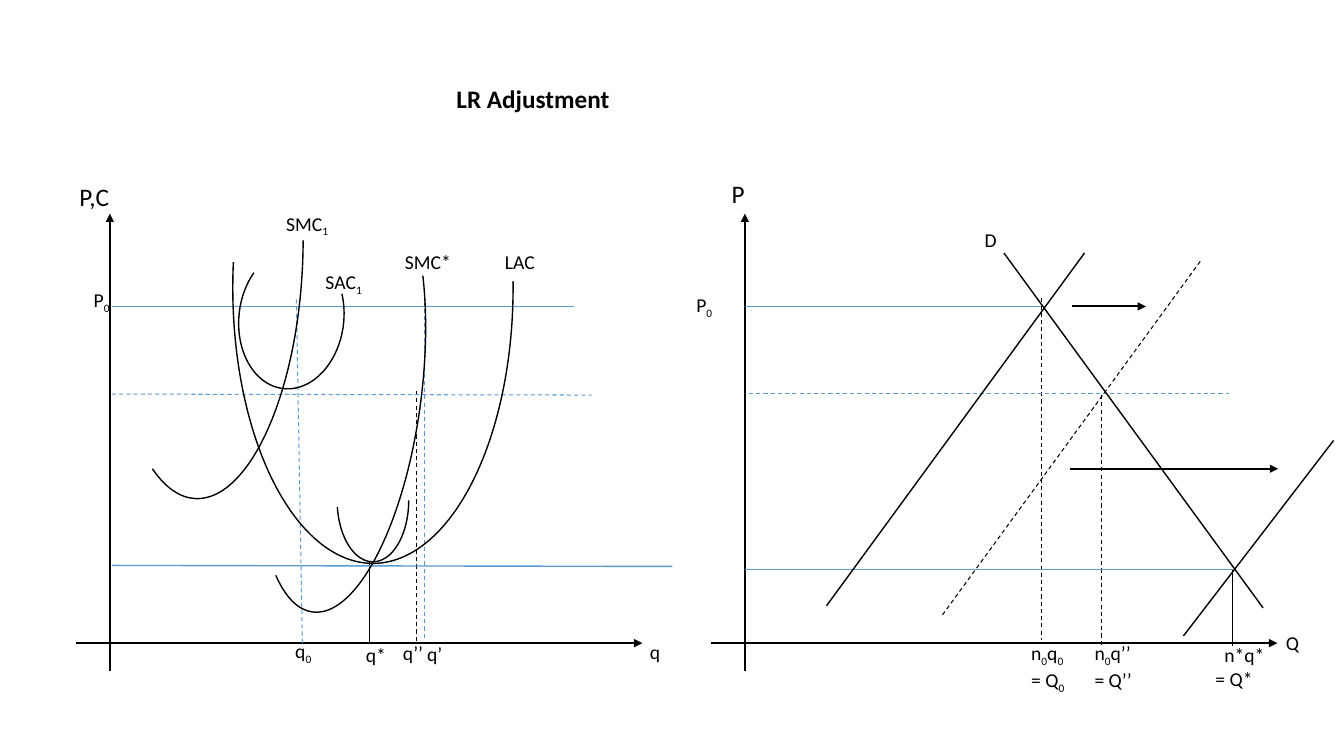
import itertools

import pptx
import pptx.dml.color
import pptx.enum.dml
import pptx.enum.shapes
import pptx.enum.text
import pptx.oxml
import pptx.oxml.ns
import pptx.util

Pt = pptx.util.Pt
COLORS = {"black": "000000", "blue": "5B9BD5"}

presentation = pptx.Presentation()
presentation.slide_width = Pt(960)
presentation.slide_height = Pt(540)
slide = presentation.slides.add_slide(presentation.slide_layouts[6])


def add_line(x1, y1, x2, y2, color="black", width=1, dashed=False, arrow=False):
    connector = slide.shapes.add_connector(
        pptx.enum.shapes.MSO_CONNECTOR.STRAIGHT, Pt(x1), Pt(y1), Pt(x2), Pt(y2))
    connector.line.color.rgb = pptx.dml.color.RGBColor.from_string(COLORS[color])
    connector.line.width = Pt(width)
    if dashed:
        connector.line.dash_style = pptx.enum.dml.MSO_LINE.DASH
    if arrow:
        tail = pptx.oxml.parse_xml(f'<a:tailEnd {pptx.oxml.ns.nsdecls("a")} type="triangle"/>')
        connector.line._get_or_add_ln().append(tail)
    effects = pptx.oxml.parse_xml(f'<a:effectLst {pptx.oxml.ns.nsdecls("a")}/>')
    connector._element.spPr.append(effects)


def add_label(text, left, top, width, height=24.5, size=14, bold=False, wrap=True):
    box = slide.shapes.add_textbox(Pt(left), Pt(top), Pt(width), Pt(height))
    frame = box.text_frame
    frame.word_wrap = wrap
    frame.auto_size = pptx.enum.text.MSO_AUTO_SIZE.SHAPE_TO_FIT_TEXT
    for index, line in enumerate(text.split("\n")):
        paragraph = frame.add_paragraph() if index else frame.paragraphs[0]
        for subscript, letters in itertools.groupby(line, str.isdigit):
            run = paragraph.add_run()
            run.text = "".join(letters)
            run.font.name = "Calibri"
            run.font.size = Pt(size)
            run.font.bold = bold
            run.font.color.rgb = pptx.dml.color.RGBColor.from_string(COLORS["black"])
            if subscript:
                run.font._element.set("baseline", "-25000")
    return box


axis_y = 459.4
initial_price_y = 218.9
firm_x, market_x = 78.5, 532.1

for origin_x in (firm_x, market_x):
    add_line(origin_x - 24.5, axis_y, origin_x + 380.3, axis_y, width=1.5, arrow=True)
    add_line(origin_x, 479.5, origin_x, 152.6, width=1.5, arrow=True)

quantity_lines = [
    (303.1, 215.3, 303.1, 457.2, "blue", 0.75, True),
    (211.7, 213.8, 216, 460.1, "blue", 0.75, True),
    (297.4, 279.4, 297.4, 458.6, "black", 0.75, True),
    (263.5, 401, 263.5, 458.6, "black", 0.5, False),
    (743.8, 213.1, 743.8, 457.2, "black", 0.75, True),
    (787, 282.2, 787, 461.5, "black", 0.75, True),
    (880.6, 406.8, 880.6, 461.5, "black", 1, False),
]
price_lines = [
    (79.9, 403.9, 480.2, 404.6, "blue", 1, False),
    (79.9, initial_price_y, 409.7, initial_price_y, "blue", 1, False),
    (79.9, 281.5, 422.6, 282.2, "blue", 0.75, True),
    (market_x, initial_price_y, 743.8, initial_price_y, "blue", 1, False),
    (market_x, 406.8, 880.6, 406.8, "blue", 1, False),
    (535, 280.8, 877.7, 280.8, "blue", 0.75, True),
]
supply_and_demand = [
    (590.4, 432.7, 774.7, 180.7, "black", 1, False),
    (673.2, 439.2, 857.5, 186.5, "black", 0.75, True),
    (845.3, 454.3, 952.6, 314.6, "black", 1, False),
    (717.1, 180.7, 902.2, 434.2, "black", 1, False),
]
for line in quantity_lines + price_lines + supply_and_demand:
    add_line(*line)

for x1, x2, y in [(765.4, 818.6, initial_price_y), (764.6, 913, 334.8)]:
    add_line(x1, y, x2, y, width=1.5, arrow=True)

cost_curves = [
    (166.3, 8.6, 200.2, 393.8, 180, 106.357, 6.247),
    (186.5, 121.7, 114.5, 316.8, 7.4, 178.594, 61.333),
    (222.5, 331.9, 87.8, 51.1, 90, 162, 47.591),
    (81.4, 24.5, 134.6, 331.9, 3.2, 204.81, 61.333),
    (157.7, 190.1, 100.8, 74.9, 96.8, 142.283, 80.35),
]
for left, top, width, height, rotation, start, end in cost_curves:
    curve = slide.shapes.add_shape(
        pptx.enum.shapes.MSO_SHAPE.ARC, Pt(left), Pt(top), Pt(width), Pt(height))
    curve.adjustments[0] = start
    curve.adjustments[1] = end
    curve.rotation = rotation
    curve.shadow.inherit = False
    curve.fill.background()
    curve.line.color.rgb = pptx.dml.color.RGBColor.from_string(COLORS["black"])
    curve.line.width = Pt(1)

add_label("LR Adjustment", 319, 56.2, 513.4, 28.8, size=18, bold=True)
add_label("P,C", 49.7, 126, 44.6, 28.8, size=18)
add_label("P", 515.5, 123.8, 44.6, 28.8, size=18)

for text, left, top, width in [
    ("D", 696.2, 159.1, 23),
    ("LAC", 353.5, 175, 44.6),
    ("SMC1", 197.3, 147.5, 57.6),
    ("SAC1", 225.4, 189.3, 57.6),
    ("SMC*", 282.2, 175, 54.7),
    ("P0", 59.8, 202.3, 38.2),
    ("P0", 490.3, 205.9, 38.2),
    ("q’", 298.1, 455, 28.8),
    ("q’’", 280.8, 454.3, 28.8),
]:
    add_label(text, left, top, width)

for text, left, top, width, height in [
    ("q", 457.2, 453.6, 23, 24.5),
    ("q0", 203.8, 452.9, 26.6, 24.5),
    ("q*", 254.2, 455.8, 28.8, 24.5),
    ("Q", 911.5, 447.1, 23.8, 24.5),
    ("n0q0\n= Q0", 729.4, 454.3, 42.5, 41),
    ("n0q’’\n= Q’’", 774.7, 454.3, 44.6, 41),
]:
    add_label(text, left, top, width, height, wrap=False)

final_quantity = add_label("n*q*\n= Q*", 861.1, 455.8, 49.7, 41, wrap=False)
final_quantity.text_frame.paragraphs[0]._p.get_or_add_pPr().set("marL", str(Pt(6.3)))

presentation.save("out.pptx")
